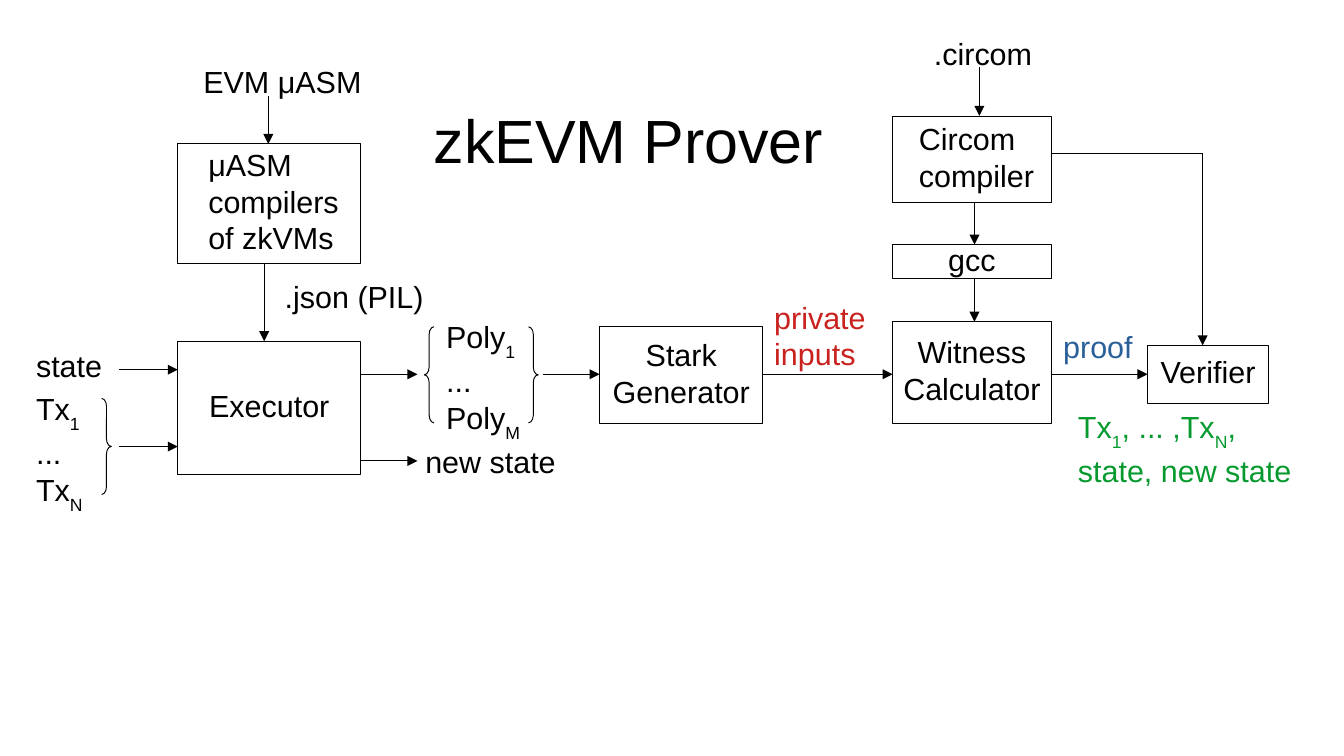
"""Build the zkEVM Prover flow diagram slide."""
from dataclasses import dataclass

from lxml import etree
from pptx import Presentation
from pptx import util as u
from pptx.dml.color import RGBColor
from pptx.enum import shapes, text
from pptx.oxml.ns import qn


@dataclass(frozen=True)
class Theme:
    font: str = "Arial"
    title_size: float = 36
    body_size: float = 18
    line_width: float = 0.57
    ink: str = "000000"
    private: str = "C9211E"
    proof: str = "2A6099"
    public: str = "069A2E"


THEME = Theme()
MAIN_AXIS = 221
COMPILER_AXIS = 575.3
VERIFIER_AXIS = 710

BOXES = [
    (105, 201.5, 108, 79, ["Executor"], None),
    (105, 85, 108, 70.5, ["μASM", "compilers", "of zkVMs"], 18),
    (354, 193, 96.5, 57, ["Stark", "Generator"], None),
    (527, 190, 93.6, 60, ["Witness", "Calculator"], None),
    (527, 68.5, 93.6, 51, ["Circom", "compiler"], 15.5),
    (527, 144.5, 93.6, 20, ["gcc"], None),
    (677.5, 204, 71.3, 34, ["Verifier"], None),
]
LABELS = [
    (161, 160.5, 104, 27.5, [".json (PIL)"], THEME.ink),
    (113, 34, 122, 27.5, ["EVM μASM"], THEME.ink),
    (14.2, 201.5, 72.7, 27.5, ["state"], THEME.ink),
    (14.2, 227, 72.7, 76.5, ["Tx|1", "...", "Tx|N"], THEME.ink),
    (244, 258, 113, 27.5, ["new state"], THEME.ink),
    (256.3, 184.3, 72.7, 76.5, ["Poly|1", "...", "Poly|M"], THEME.ink),
    (450, 172.8, 113, 47.5, ["private", "inputs"], THEME.private),
    (544.3, 17, 76.3, 27.5, [".circom"], THEME.ink),
    (620.6, 190, 65.5, 27.5, ["proof"], THEME.proof),
    (629.3, 237.6, 146, 52, ["Tx|1|, ... ,Tx|N|,", "state, new state"], THEME.public),
]
BRACES = [
    (shapes.MSO_SHAPE.RIGHT_BRACE, 60, 235.3),
    (shapes.MSO_SHAPE.LEFT_BRACE, 250.5, 193),
    (shapes.MSO_SHAPE.RIGHT_BRACE, 312, 193),
]
ARROWS = [
    (158.4, 57, 158.4, 85),
    (156, 155.5, 156, 201.5),
    (70.5, 218.3, 105, 218.3),
    (70.5, 263.7, 105, 263.7),
    (213, MAIN_AXIS, 246.5, MAIN_AXIS),
    (213, 272.2, 246.5, 272.2),
    (320.4, MAIN_AXIS, 354, MAIN_AXIS),
    (450.5, MAIN_AXIS, 527, MAIN_AXIS),
    (620.6, MAIN_AXIS, 677.5, MAIN_AXIS),
    (578.2, 39.7, 578.2, 68.5),
    (COMPILER_AXIS, 119.5, COMPILER_AXIS, 144.5),
    (COMPILER_AXIS, 164.5, COMPILER_AXIS, 190),
    (VERIFIER_AXIS, 90.8, VERIFIER_AXIS, 204),
]


def style_line(line):
    """Apply the common outline."""
    line.color.rgb = RGBColor.from_string(THEME.ink)
    line.width = u.Pt(THEME.line_width)


def write_lines(frame, lines, color, size, align):
    """Write paragraphs, lowering every second piece between bars."""
    for index, content in enumerate(lines):
        paragraph = frame.paragraphs[0] if index == 0 else frame.add_paragraph()
        paragraph.alignment = align
        for position, piece in enumerate(content.split("|")):
            run = paragraph.add_run()
            run.text = piece
            run.font.name = THEME.font
            run.font.size = u.Pt(size)
            run.font.color.rgb = RGBColor.from_string(color)
            if position % 2:
                run.font._element.set("baseline", "-33000")


def add_box(slide, left, top, width, height, lines, indent):
    """Add an outlined step, centred unless an indent is given."""
    shape = slide.shapes.add_shape(
        shapes.MSO_SHAPE.RECTANGLE, u.Pt(left), u.Pt(top), u.Pt(width), u.Pt(height))
    shape.shadow.inherit = False
    shape.fill.background()
    style_line(shape.line)
    frame = shape.text_frame
    frame.word_wrap = True
    frame.vertical_anchor = text.MSO_ANCHOR.MIDDLE
    frame.margin_left = u.Pt(indent or 0)
    frame.margin_right = frame.margin_top = u.Pt(0)
    frame.margin_bottom = u.Pt(3)
    align = text.PP_ALIGN.LEFT if indent else text.PP_ALIGN.CENTER
    write_lines(frame, lines, THEME.ink, THEME.body_size, align)


def add_label(slide, left, top, width, height, lines, color, size=THEME.body_size):
    """Add free-standing text."""
    shape = slide.shapes.add_textbox(u.Pt(left), u.Pt(top), u.Pt(width), u.Pt(height))
    shape.text_frame.word_wrap = True
    write_lines(shape.text_frame, lines, color, size, text.PP_ALIGN.LEFT)


def add_brace(slide, kind, left, top):
    """Add a brace grouping a list of items."""
    shape = slide.shapes.add_shape(kind, u.Pt(left), u.Pt(top), u.Pt(5.7), u.Pt(56.7))
    shape.adjustments[0] = 0.8
    shape.shadow.inherit = False
    shape.fill.background()
    style_line(shape.line)


def add_line(slide, start_x, start_y, end_x, end_y, arrow=True):
    """Add a straight connector, by default with an arrowhead."""
    connector = slide.shapes.add_connector(
        shapes.MSO_CONNECTOR.STRAIGHT,
        u.Pt(start_x), u.Pt(start_y), u.Pt(end_x), u.Pt(end_y))
    style_line(connector.line)
    properties = connector._element.spPr
    if arrow:
        etree.SubElement(properties.find(qn("a:ln")), qn("a:tailEnd"), type="triangle")
    etree.SubElement(properties, qn("a:effectLst"))


def main():
    """Assemble and save the slide."""
    presentation = Presentation()
    presentation.slide_width = u.Pt(793.44)
    presentation.slide_height = u.Pt(446.4)
    slide = presentation.slides.add_slide(presentation.slide_layouts[6])
    for box in BOXES:
        add_box(slide, *box)
    for brace in BRACES:
        add_brace(slide, *brace)
    for arrow in ARROWS:
        add_line(slide, *arrow)
    add_line(slide, VERIFIER_AXIS, 90.8, 620.6, 90.8, arrow=False)
    for label in LABELS:
        add_label(slide, *label)
    add_label(slide, 249, 57, 256, 47.5, ["zkEVM Prover"], THEME.ink, THEME.title_size)
    presentation.save("out.pptx")


if __name__ == "__main__":
    main()
